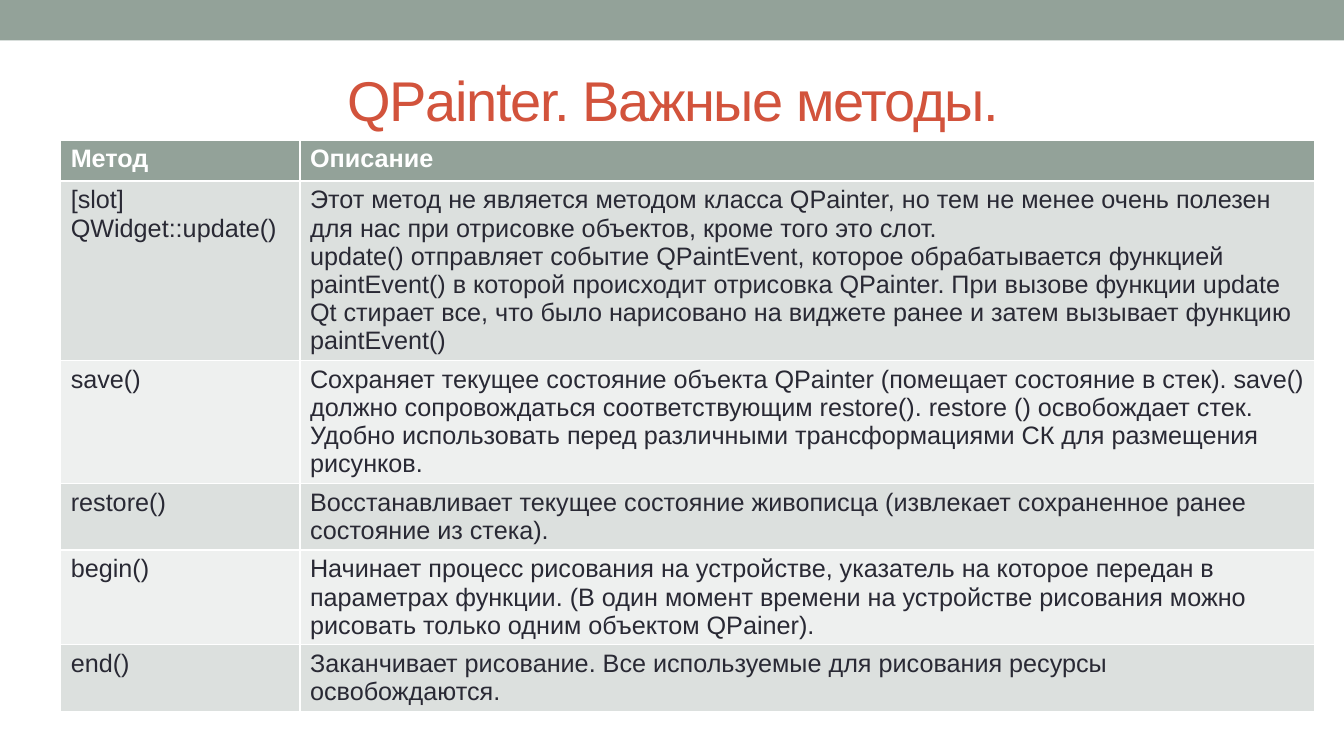
from dataclasses import dataclass

from pptx import Presentation
from pptx.dml.color import RGBColor
from pptx.enum.shapes import MSO_SHAPE
from pptx.enum.text import MSO_ANCHOR, PP_ALIGN
from pptx.slide import Slide
from pptx.table import _Cell
from pptx.text.text import _Paragraph
from pptx.util import Cm, Pt


@dataclass(frozen=True)
class Theme:
    font: str = "Arial"
    title_size: Pt = Pt(40)
    table_size: Pt = Pt(18)
    title_spacing: int = -100
    accent: RGBColor = RGBColor(0x93, 0xA2, 0x99)
    title: RGBColor = RGBColor(0xD2, 0x53, 0x3C)
    text: RGBColor = RGBColor(0x29, 0x29, 0x34)
    header_text: RGBColor = RGBColor(0xFF, 0xFF, 0xFF)
    bands: tuple[RGBColor, RGBColor] = (
        RGBColor(0xDC, 0xE0, 0xDE),
        RGBColor(0xEE, 0xF0, 0xEF),
    )


@dataclass(frozen=True)
class Method:
    name: str
    description: str


THEME = Theme()
SLIDE_WIDTH, SLIDE_HEIGHT = Cm(33.87), Cm(19.05)
COLUMN_WIDTHS = Cm(6.03), Cm(25.57)
ROW_HEIGHT = Cm(1.03)

HEADER = Method("Метод", "Описание")
METHODS = [
    Method(
        "[slot] QWidget::update()",
        "Этот метод не является методом класса QPainter, но тем не менее очень "
        "полезен для нас при отрисовке объектов, кроме того это слот.\n"
        "update() отправляет событие QPaintEvent, которое обрабатывается функцией "
        "paintEvent() в которой происходит отрисовка QPainter. При вызове функции "
        "update Qt стирает все, что было нарисовано на виджете ранее и затем "
        "вызывает функцию paintEvent()",
    ),
    Method(
        "save()",
        "Сохраняет текущее состояние объекта QPainter (помещает состояние в стек). "
        "save() должно сопровождаться соответствующим restore(). restore () "
        "освобождает стек. Удобно использовать перед различными трансформациями "
        "СК для размещения рисунков.",
    ),
    Method(
        "restore()",
        "Восстанавливает текущее состояние живописца (извлекает сохраненное ранее "
        "состояние из стека).",
    ),
    Method(
        "begin()",
        "Начинает процесс рисования на устройстве, указатель на которое передан в "
        "параметрах функции. (В один момент времени на устройстве рисования можно "
        "рисовать только одним объектом QPainer).",
    ),
    Method(
        "end()",
        "Заканчивает рисование. Все используемые для рисования ресурсы "
        "освобождаются.",
    ),
]


def style_paragraph(
    paragraph: _Paragraph, size: Pt, color: RGBColor, bold: bool = False
) -> None:
    font = paragraph.font
    font.name, font.size, font.bold = THEME.font, size, bold
    font.color.rgb = color


def add_top_band(slide: Slide) -> None:
    band = slide.shapes.add_shape(MSO_SHAPE.RECTANGLE, 0, 0, SLIDE_WIDTH, Cm(1.02))
    band.shadow.inherit = False
    band.fill.solid()
    band.fill.fore_color.rgb = THEME.accent
    band.line.fill.background()


def fill_title(slide: Slide, text: str) -> None:
    title = slide.shapes.title
    title.left, title.top = Cm(1.73), Cm(1.12)
    title.width, title.height = Cm(30.48), Cm(2.74)
    title.text_frame.text = text
    title.text_frame.vertical_anchor = MSO_ANCHOR.MIDDLE
    heading = title.text_frame.paragraphs[0]
    heading.alignment = PP_ALIGN.CENTER
    style_paragraph(heading, THEME.title_size, THEME.title)
    heading.runs[0].font._element.set("spc", str(THEME.title_spacing))


def fill_cell(
    cell: _Cell, text: str, fill: RGBColor, color: RGBColor, bold: bool
) -> None:
    cell.text = text
    cell.fill.solid()
    cell.fill.fore_color.rgb = fill
    for paragraph in cell.text_frame.paragraphs:
        style_paragraph(paragraph, THEME.table_size, color, bold)


def add_method_table(slide: Slide, methods: list[Method]) -> None:
    entries = [HEADER, *methods]
    frame = slide.shapes.add_table(
        len(entries), len(COLUMN_WIDTHS), Cm(1.53), Cm(3.53),
        sum(COLUMN_WIDTHS), ROW_HEIGHT * len(entries),
    )
    table = frame.table
    for column, width in zip(table.columns, COLUMN_WIDTHS):
        column.width = width
    for index, entry in enumerate(entries):
        table.rows[index].height = ROW_HEIGHT
        is_header = index == 0
        fill = THEME.accent if is_header else THEME.bands[(index - 1) % 2]
        color = THEME.header_text if is_header else THEME.text
        for cell, text in zip(table.rows[index].cells, (entry.name, entry.description)):
            fill_cell(cell, text, fill, color, is_header)
    frame.height = Cm(15.27)


def main() -> None:
    presentation = Presentation()
    presentation.slide_width, presentation.slide_height = SLIDE_WIDTH, SLIDE_HEIGHT
    slide = presentation.slides.add_slide(presentation.slide_layouts.get_by_name("Title Only"))
    add_top_band(slide)
    fill_title(slide, "QPainter. Важные методы.")
    add_method_table(slide, METHODS)
    presentation.save("out.pptx")


if __name__ == "__main__":
    main()
